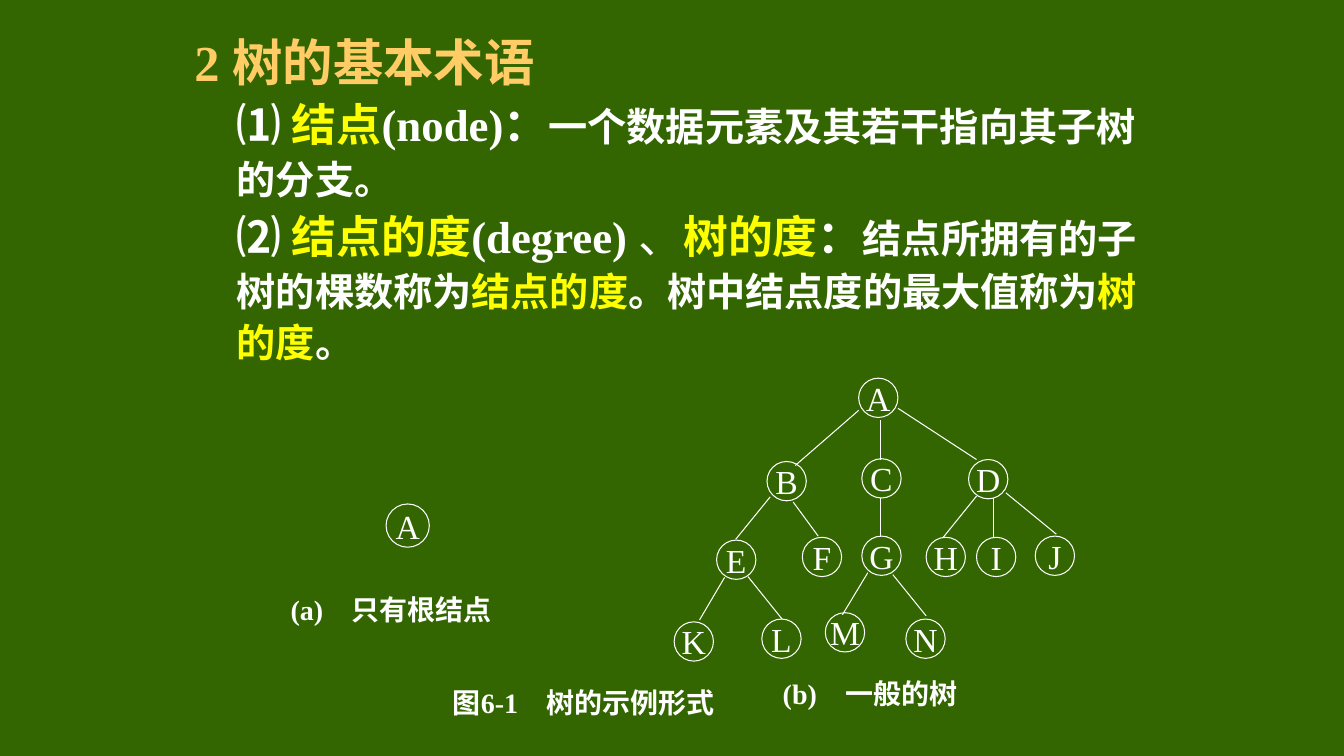
from lxml import etree
from pptx import Presentation
from pptx import util as u
from pptx.dml.color import RGBColor
from pptx.enum import shapes, text
from pptx.oxml.ns import qn

COLORS = {"bg": "336600", "title": "FFCC66", "term": "FFFF00", "white": "FFFFFF"}
LATIN, CJK = "Times New Roman", "Noto Sans CJK SC"
NODE_SIZE = 0.99

# Left and top of each node of the general tree
NODES = {
    "A": (21.64, 9.53),
    "B": (19.33, 11.63), "C": (21.72, 11.56), "D": (24.41, 11.58),
    "E": (18.06, 13.61), "F": (20.22, 13.54), "G": (21.72, 13.51),
    "H": (23.34, 13.54), "I": (24.61, 13.54), "J": (26.09, 13.51),
    "K": (16.99, 15.67), "L": (19.2, 15.6), "M": (20.8, 15.44), "N": (22.83, 15.6),
}
# Start and end of each branch, parent to child
BRANCHES = {
    "AB": (21.64, 10.34, 20.04, 11.73),
    "AC": (22.2, 10.59, 22.2, 11.58),
    "AD": (22.63, 10.29, 24.61, 11.58),
    "BE": (19.41, 12.52, 18.54, 13.59),
    "BF": (19.99, 12.65, 20.62, 13.51),
    "CG": (22.2, 12.55, 22.2, 13.54),
    "DH": (24.61, 12.5, 23.77, 13.54),
    "DI": (25.04, 12.55, 25.04, 13.54),
    "DJ": (25.35, 12.42, 26.62, 13.46),
    "EK": (18.26, 14.55, 17.63, 15.62),
    "EL": (18.85, 14.53, 19.71, 15.6),
    "GM": (21.87, 14.43, 21.23, 15.49),
    "GN": (22.5, 14.48, 23.34, 15.52),
}


def rgb(name):
    return RGBColor.from_string(COLORS[name])


def add_run(p, words, size=28, color="white", bold=True, font=CJK):
    r = p.add_run()
    r.text = words
    r.font.size = u.Pt(size)
    r.font.bold = bold
    r.font.name = font
    r.font.color.rgb = rgb(color)
    etree.SubElement(r._r.get_or_add_rPr(), qn("a:ea")).set("typeface", CJK)


class TreeSlide:
    def __init__(self, prs):
        self.slide = prs.slides.add_slide(prs.slide_layouts[6])
        fill = self.slide.background.fill
        fill.solid()
        fill.fore_color.rgb = rgb("bg")

    def text_box(self, x, y, w, h):
        sp = self.slide.shapes.add_textbox(u.Cm(x), u.Cm(y), u.Cm(w), u.Cm(h))
        sp.text_frame.word_wrap = True
        return sp.text_frame

    def body(self, x, y, w, h, paragraphs):
        """First paragraph is the heading; the rest are indented one level."""
        tf = self.text_box(x, y, w, h)
        for i, runs in enumerate(paragraphs):
            p = tf.add_paragraph() if i else tf.paragraphs[0]
            p.line_spacing = u.Pt(37 if i else 51)
            if i:
                p.space_before = u.Pt(5.5)
                p.level = 1
                p._p.get_or_add_pPr().set("marL", str(u.Cm(1.07)))
                p._p.get_or_add_pPr().set("indent", "0")
            for words, style in runs:
                add_run(p, words, **style)

    def caption(self, x, y, w, label, words):
        tf = self.text_box(x, y, w, 1.07)
        tf.vertical_anchor = text.MSO_ANCHOR.MIDDLE
        p = tf.paragraphs[0]
        p.alignment = text.PP_ALIGN.CENTER
        add_run(p, label, size=20, font=LATIN)
        add_run(p, "　" + words, size=20)

    def node(self, letter, x, y, size=NODE_SIZE):
        sp = self.slide.shapes.add_shape(
            shapes.MSO_SHAPE.OVAL, u.Cm(x), u.Cm(y), u.Cm(size), u.Cm(size))
        sp.shadow.inherit = False
        sp.fill.background()
        sp.line.color.rgb = rgb("white")
        sp.line.width = u.Pt(0.75)
        tf = sp.text_frame
        tf.word_wrap = False
        tf.vertical_anchor = text.MSO_ANCHOR.MIDDLE
        tf.margin_left = tf.margin_right = tf.margin_top = tf.margin_bottom = 0
        p = tf.paragraphs[0]
        p.alignment = text.PP_ALIGN.CENTER
        add_run(p, letter, size=24, bold=False, font=LATIN)

    def branch(self, *ends):
        line = self.slide.shapes.add_connector(
            shapes.MSO_CONNECTOR.STRAIGHT, *(u.Cm(v) for v in ends))
        line.line.color.rgb = rgb("white")
        line.line.width = u.Pt(0.75)
        etree.SubElement(line._element.spPr, qn("a:effectLst"))


def main():
    prs = Presentation()
    prs.slide_width, prs.slide_height = u.Cm(33.87), u.Cm(19.05)
    s = TreeSlide(prs)

    heading = {"size": 36, "color": "title"}
    big = {"size": 32}
    big_term = {"size": 32, "color": "term"}
    big_latin = {"size": 32, "font": LATIN}
    term = {"color": "term"}
    s.body(4.65, 0.38, 24.56, 9.35, [
        [("2 ", {**heading, "font": LATIN}), ("树的基本术语", heading)],
        [("⑴", big), (" 结点", big_term), ("(node)", big_latin), ("：", big),
         ("一个数据元素及其若干指向其子树的分支。", {})],
        [("⑵", big), (" 结点的度", big_term), ("(degree) ", big_latin),
         ("、", {**big, "bold": False}), ("树的度", big_term), ("：", big),
         ("结点所拥有的子树的棵数称为", {}), ("结点的度", term),
         ("。树中结点度的最大值称为", {}), ("树的度", term), ("。", {})],
    ])

    s.node("A", 9.73, 12.7, 1.09)
    for letter, place in NODES.items():
        s.node(letter, *place)
    for ends in BRANCHES.values():
        s.branch(*ends)

    s.caption(6.78, 14.81, 6.15, "(a)", "只有根结点")
    s.caption(18.85, 16.94, 6.15, "(b)", "一般的树")
    s.caption(10.8, 17.15, 7.82, "图6-1", "树的示例形式")
    prs.save("out.pptx")


if __name__ == "__main__":
    main()
